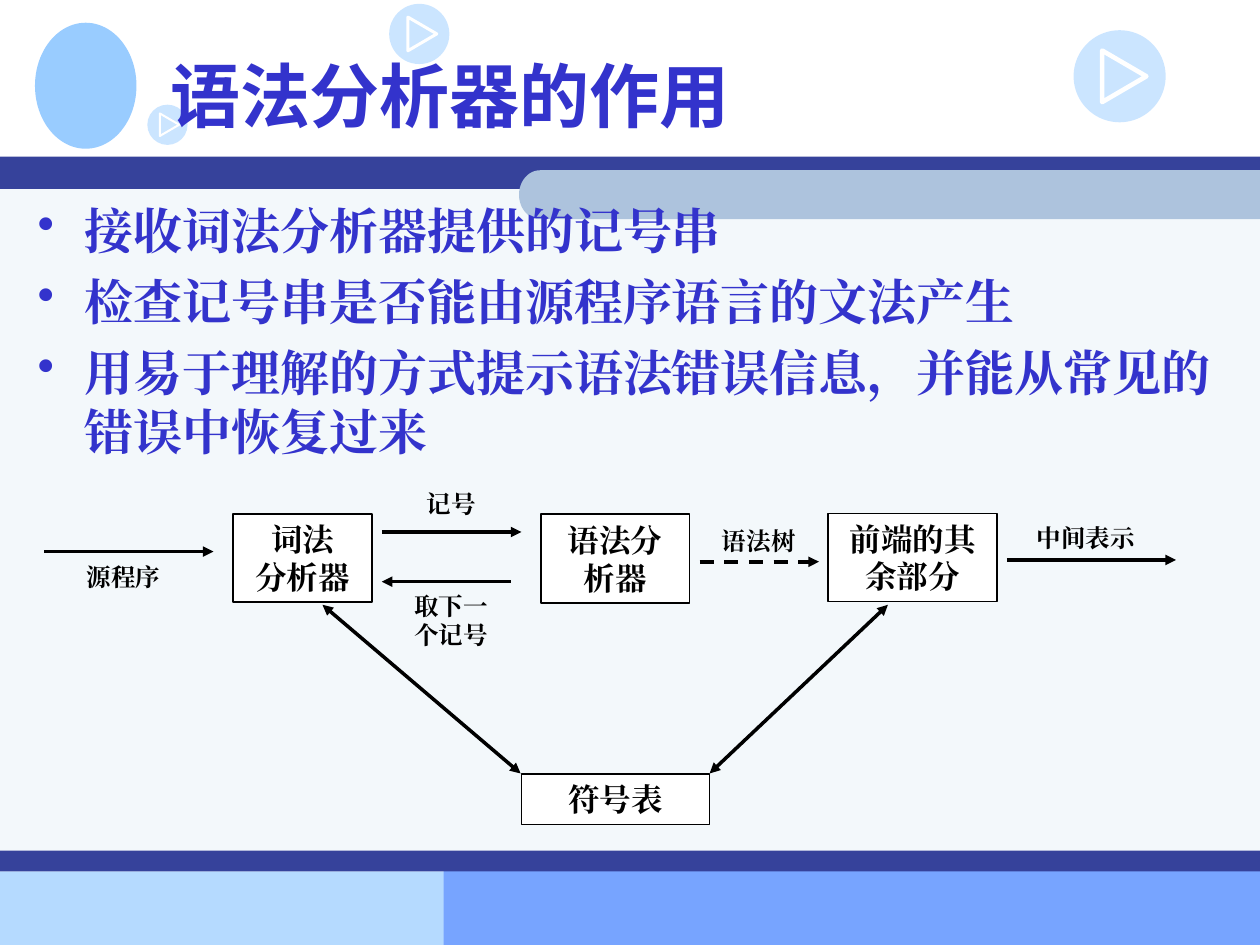
from dataclasses import dataclass
from math import cos, pi, sin

from lxml.etree import SubElement
from pptx import Presentation
from pptx.dml.color import RGBColor
from pptx.enum.dml import MSO_LINE
from pptx.enum.shapes import MSO_CONNECTOR, MSO_SHAPE
from pptx.enum.text import MSO_ANCHOR, MSO_AUTO_SIZE, PP_ALIGN
from pptx.oxml.ns import qn
from pptx.util import Pt


@dataclass(frozen=True)
class Theme:
    ink: str = "3333CC"
    navy: str = "36429B"
    panel: str = "F3F8FB"
    band: str = "ADC3DD"
    sky: str = "B5DAFF"
    blue: str = "77A4FF"
    icon: str = "99CCFF"
    white: str = "FFFFFF"
    black: str = "000000"
    title_font: str = "Noto Sans CJK SC"
    font: str = "Times New Roman"
    title_size: int = 40
    body_size: int = 28
    box_size: int = 18
    label_size: int = 14


class Deck:
    def __init__(self, theme):
        self.theme = theme
        self.prs = Presentation()
        self.prs.slide_width, self.prs.slide_height = Pt(720), Pt(540)
        self.s = self.prs.slides.add_slide(self.prs.slide_layouts[5])

    def paint(self, sp, fill=None, line=None, width=1):
        sp.shadow.inherit = False
        if fill:
            sp.fill.solid()
            sp.fill.fore_color.rgb = RGBColor.from_string(fill)
        else:
            sp.fill.background()
        if line:
            sp.line.color.rgb = RGBColor.from_string(line)
            sp.line.width = Pt(width)
        else:
            sp.line.fill.background()
        return sp

    def shape(self, kind, x, y, w, h, fill, line=None):
        sp = self.s.shapes.add_shape(kind, Pt(x), Pt(y), Pt(w), Pt(h))
        return self.paint(sp, fill, line)

    def rect(self, x, y, w, h, fill, line=None):
        return self.shape(MSO_SHAPE.RECTANGLE, x, y, w, h, fill, line)

    def polygon(self, points, fill=None, line=None, width=1):
        (x, y), *rest = points
        fb = self.s.shapes.build_freeform(Pt(x), Pt(y))
        fb.add_line_segments([(Pt(px), Pt(py)) for px, py in rest])
        return self.paint(fb.convert_to_shape(), fill, line, width)

    def round_band(self, x, y, right, h, fill, steps=24):
        r = h / 2
        angles = [pi / 2 + pi * i / steps for i in range(steps + 1)]
        arc = [(x + 12 + 12 * cos(a), y + r - r * sin(a)) for a in angles]
        self.polygon([(right, y), *arc, (right, y + h)], fill)

    def play_icon(self, x, y, d):
        disc = self.shape(MSO_SHAPE.OVAL, x, y, d, d, self.theme.icon)
        color = disc.element.spPr.find(qn("a:solidFill"))[0]
        SubElement(color, qn("a:alpha"), val="50000")
        corners = [(0.31, 0.22), (0.79, 0.5), (0.31, 0.78)]
        self.polygon([(x + d * u, y + d * v) for u, v in corners],
                     line=self.theme.white, width=d * 0.05)

    def run(self, p, text, size, color, font):
        r = p.add_run()
        r.text = text
        r.font.size, r.font.bold, r.font.name = Pt(size), True, font
        r.font.color.rgb = RGBColor.from_string(color)
        SubElement(r._r.get_or_add_rPr(), qn("a:ea"), typeface=font)

    def set_text(self, tf, lines, size, color, font=None, align=PP_ALIGN.CENTER,
                 anchor=MSO_ANCHOR.MIDDLE):
        tf.word_wrap = True
        tf.auto_size = MSO_AUTO_SIZE.NONE
        tf.vertical_anchor = anchor
        for i, text in enumerate(lines):
            p = tf.paragraphs[0] if i == 0 else tf.add_paragraph()
            p.alignment = align
            self.run(p, text, size, color, font or self.theme.font)

    def title(self, text, x, y, w, h):
        sp = self.s.shapes.title
        sp.left, sp.top, sp.width, sp.height = Pt(x), Pt(y), Pt(w), Pt(h)
        sp.element.getparent().append(sp.element)
        self.set_text(sp.text_frame, [text], self.theme.title_size, self.theme.ink,
                      self.theme.title_font, PP_ALIGN.LEFT)

    def text(self, x, y, w, h):
        return self.s.shapes.add_textbox(Pt(x), Pt(y), Pt(w), Pt(h)).text_frame

    def bullets(self, lines, x, y, w, h):
        tf = self.text(x, y, w, h)
        self.set_text(tf, lines, self.theme.body_size, self.theme.ink,
                      align=PP_ALIGN.LEFT, anchor=MSO_ANCHOR.TOP)
        for p in tf.paragraphs:
            p.space_before = Pt(7)
            pPr = p._p.get_or_add_pPr()
            pPr.set("marL", str(Pt(27)))
            pPr.set("indent", str(-Pt(27)))
            color = SubElement(pPr, qn("a:buClr"))
            SubElement(color, qn("a:srgbClr"), val=self.theme.ink)
            SubElement(pPr, qn("a:buChar"), char="•")

    def box(self, lines, x, y, w, h):
        sp = self.rect(x, y, w, h, self.theme.white, self.theme.black)
        self.set_text(sp.text_frame, lines, self.theme.box_size, self.theme.black)

    def label(self, text, x, y, w=67.7, h=24.5):
        self.set_text(self.text(x, y, w, h), [text], self.theme.label_size, self.theme.black)

    def arrow(self, x1, y1, x2, y2, both=False, dashed=False):
        c = self.s.shapes.add_connector(MSO_CONNECTOR.STRAIGHT, Pt(x1), Pt(y1), Pt(x2), Pt(y2))
        c.line.color.rgb = RGBColor.from_string(self.theme.black)
        c.line.width = Pt(2)
        if dashed:
            c.line.dash_style = MSO_LINE.DASH
        spPr = c.element.spPr
        for end in ("a:headEnd", "a:tailEnd") if both else ("a:tailEnd",):
            SubElement(spPr.find(qn("a:ln")), qn(end), type="triangle")
        SubElement(spPr, qn("a:effectLst"))


def main():
    t = Theme()
    d = Deck(t)

    d.rect(0, 498, 306, 42, t.sky)
    d.rect(253.5, 497.5, 466.5, 42.5, t.blue)
    d.rect(0, 100.8, 720, 396.7, t.panel)
    d.rect(0, 89.5, 720, 18.5, t.navy)
    d.round_band(296.6, 97.3, 720, 28, t.band)
    d.rect(0, 486, 720, 12, t.navy)
    d.shape(MSO_SHAPE.OVAL, 20, 13, 58, 72, t.icon)
    for x, y, size in [(222.4, 2.2, 34.4), (613.5, 17.3, 52.6), (84.2, 59.8, 23)]:
        d.play_icon(x, y, size)

    d.title("语法分析器的作用", 90, 12.2, 612, 84.2)
    d.bullets(["接收词法分析器提供的记号串",
               "检查记号串是否能由源程序语言的文法产生",
               "用易于理解的方式提示语法错误信息，并能从常见的错误中恢复过来"],
              14.4, 110.9, 692, 357)

    d.box(["语法分析器"], 309, 293.8, 85, 51)
    d.box(["词法", "分析器"], 133.2, 293.6, 79.4, 50.4)
    d.box(["符号表"], 298, 442.2, 107.5, 29)
    d.box(["前端的其余部分"], 473.2, 293.4, 96.6, 50.4)

    d.arrow(25.4, 315.2, 122, 315.2)
    d.arrow(292, 332.4, 218.2, 332.4)
    d.arrow(218.2, 304, 298, 304)
    d.arrow(399.8, 321, 468, 321, dashed=True)
    d.arrow(575.3, 320, 672, 320)
    d.arrow(184.3, 345.6, 297.5, 442, both=True)
    d.arrow(405.5, 442, 507.4, 345.6, both=True)

    d.label("源程序", 36.7, 317.5)
    d.label("记号", 224, 275.8)
    d.label("取下一个记号", 224, 334, h=41)
    d.label("语法树", 399.8, 296.8)
    d.label("中间表示", 581, 295, w=79.2)

    d.prs.save("out.pptx")


if __name__ == "__main__":
    main()
